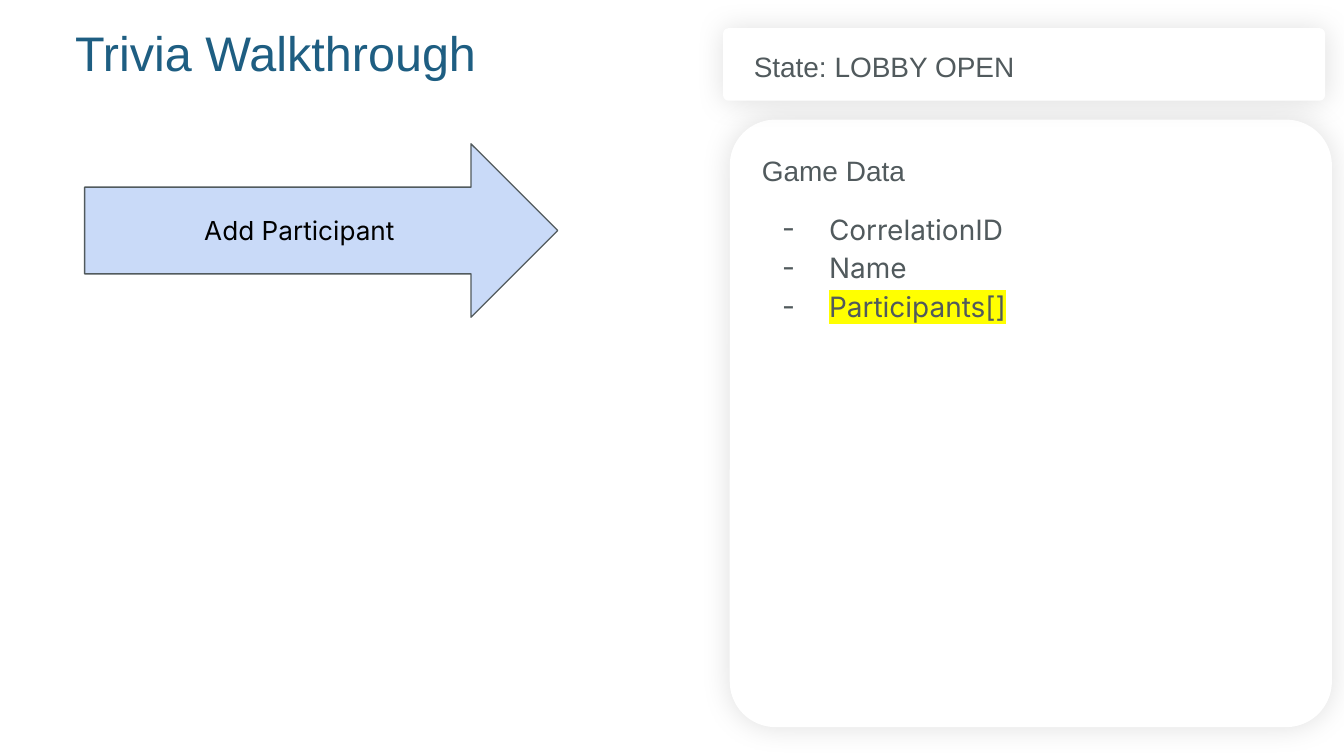
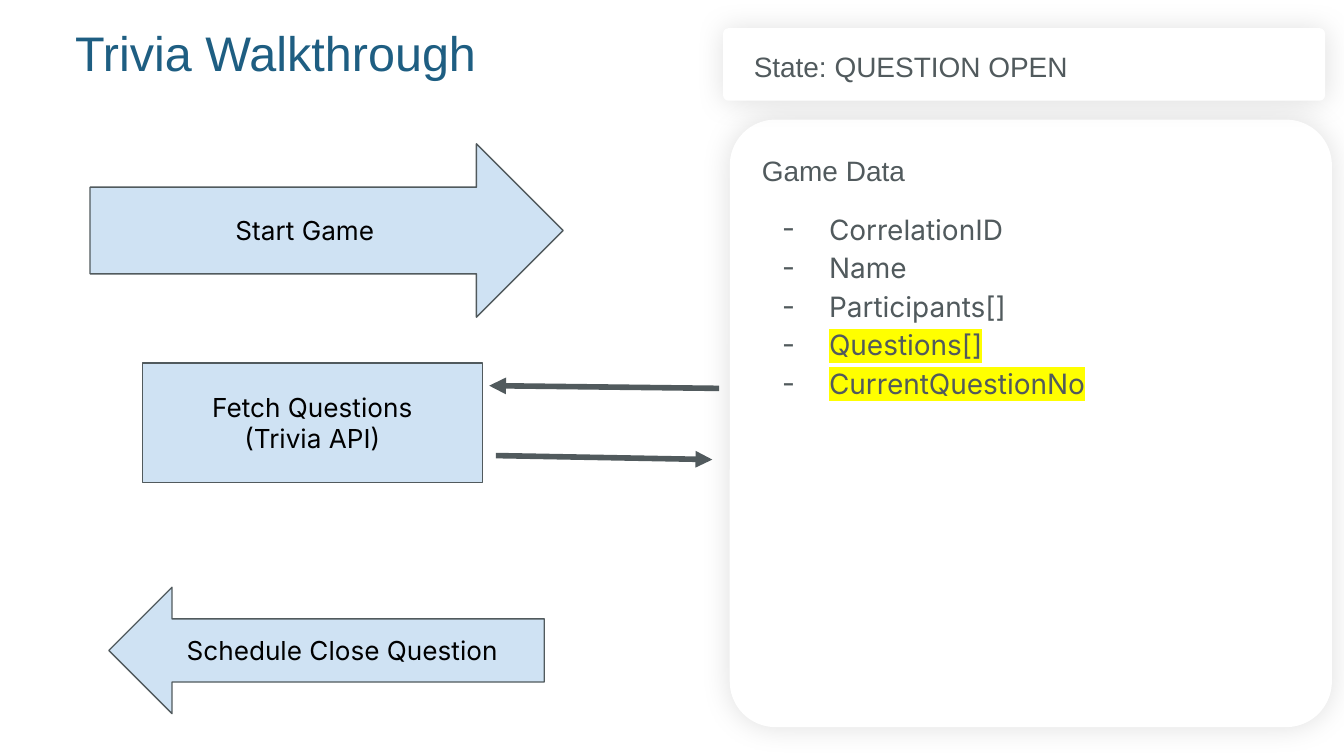
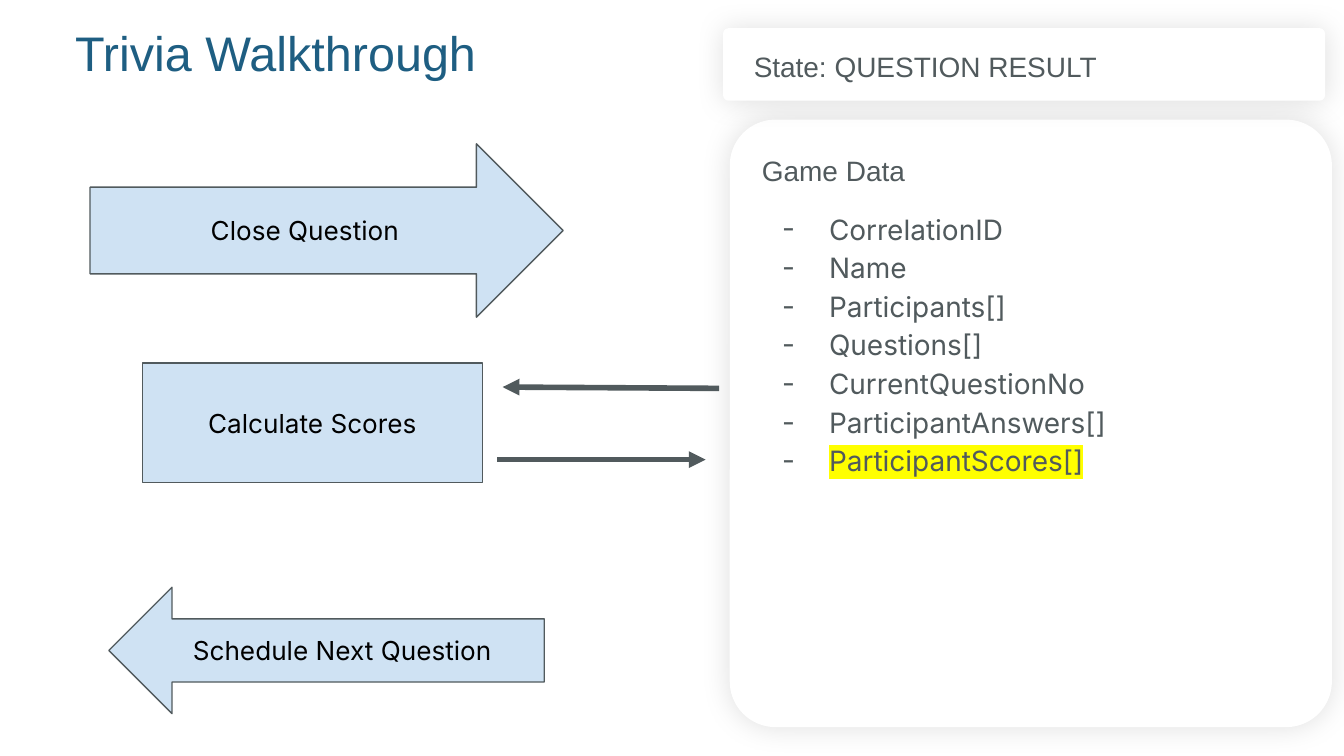
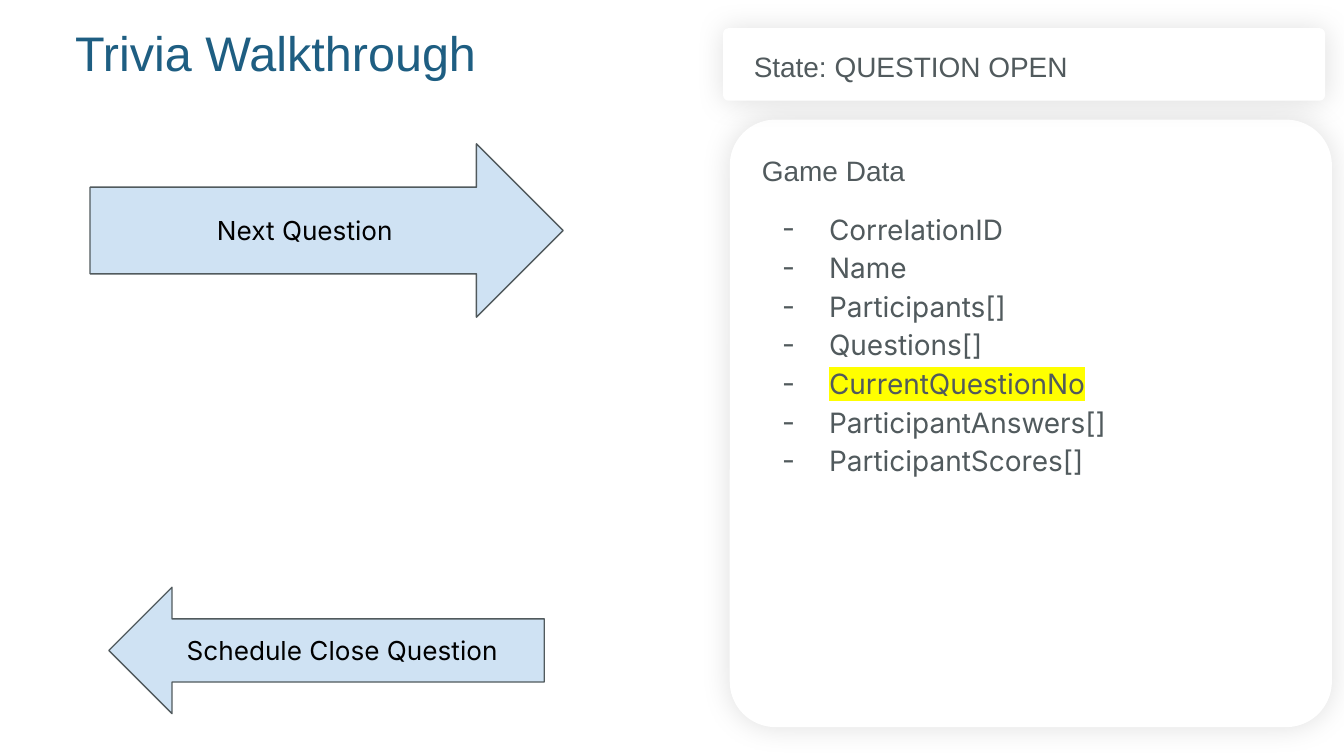
from dataclasses import dataclass

from lxml import etree
from pptx import Presentation
from pptx.dml.color import RGBColor
from pptx.enum.shapes import MSO_CONNECTOR, MSO_SHAPE
from pptx.enum.text import MSO_ANCHOR, PP_ALIGN
from pptx.oxml.ns import qn
from pptx.util import Emu, Pt

RECTANGLE, ROUNDED = MSO_SHAPE.RECTANGLE, MSO_SHAPE.ROUNDED_RECTANGLE
RIGHT_ARROW, LEFT_ARROW = MSO_SHAPE.RIGHT_ARROW, MSO_SHAPE.LEFT_ARROW
STRAIGHT = MSO_CONNECTOR.STRAIGHT
TOP, MIDDLE = MSO_ANCHOR.TOP, MSO_ANCHOR.MIDDLE
LEFT, CENTER = PP_ALIGN.LEFT, PP_ALIGN.CENTER


@dataclass(frozen=True)
class Theme:
    title: str = "1E5E82"
    ink: str = "515A5D"
    label: str = "000000"
    card: str = "FFFFFF"
    step: str = "CFE2F3"
    first_step: str = "C9DAF8"
    marker: str = "FFFF00"
    heading_font: str = "Arial"
    body_font: str = "Inter"
    title_size: int = 26
    body_size: int = 15
    label_size: int = 14
    outline: float = 0.75
    link: int = 3
    corner: float = 0.076


THEME = Theme()

TITLE = "Trivia Walkthrough"
FIELDS = ["CorrelationID", "Name", "Participants[]", "Questions[]",
          "CurrentQuestionNo", "ParticipantAnswers[]", "ParticipantScores[]"]

# "links" are the (from, to) points of the exchange between step and game data.
PAGES = [
    {"state": "LOBBY OPEN", "fields": 3, "marked": ["Participants[]"],
     "command": "Add Participant", "command_left": 63,
     "command_fill": THEME.first_step, "title_width": 902},
    {"state": "QUESTION OPEN", "fields": 5,
     "marked": ["Questions[]", "CurrentQuestionNo"],
     "command": "Start Game", "process": "Fetch Questions\n(Trivia API)",
     "links": [((535, 289), (364, 287)), ((369, 339), (530, 342))],
     "schedule": "Schedule Close Question"},
    {"state": "QUESTION RESULT", "fields": 7, "marked": ["ParticipantScores[]"],
     "command": "Close Question", "process": "Calculate Scores",
     "links": [((535, 289), (374, 288)), ((370, 342), (525, 342))],
     "schedule": "Schedule Next Question"},
    {"state": "QUESTION OPEN", "fields": 7, "marked": ["CurrentQuestionNo"],
     "command": "Next Question", "schedule": "Schedule Close Question"},
]

PX_PER_INCH = 100
PAGE_WIDTH = 1000
INSET = 10
BULLET_MARGIN, BULLET_HANG = 50, 35

STATE_CARD, STATE_TEXT = (538, 21, 448, 54), (551, 30, 411, 39)
DATA_CARD, DATA_HEADING = (543, 89, 448, 452), (557, 107, 411, 50)
DATA_LIST = (557, 144, 411, 369)
PROCESS, SCHEDULE = (106, 270, 253, 89), (81, 437, 324, 94)


def px(length):
    return Emu(length * 914400 // PX_PER_INCH)


def rgb(value):
    return RGBColor.from_string(value)


def add_xml(parent, tag, **attributes):
    return etree.SubElement(parent, qn(tag), attributes)


def write(shape, text, font, size, color, spacing=1.0, align=LEFT, anchor=TOP):
    frame = shape.text_frame
    frame.word_wrap = True
    frame.vertical_anchor = anchor
    frame.margin_left = frame.margin_right = px(INSET)
    frame.margin_top = frame.margin_bottom = px(INSET)
    frame.text = text
    for para in frame.paragraphs:
        para.line_spacing = spacing
        para.alignment = align
        for span in para.runs:
            span.font.name = font
            span.font.size = Pt(size)
            span.font.color.rgb = rgb(color)
    return frame


def add_text(page, area, text, font, size, color, spacing=0.9):
    box = page.shapes.add_textbox(*map(px, area))
    return write(box, text, font, size, color, spacing)


def add_card(page, area):
    """Add a white rounded panel with a soft glow-like shadow."""
    card = page.shapes.add_shape(ROUNDED, *map(px, area))
    card.adjustments[0] = THEME.corner
    card.fill.solid()
    card.fill.fore_color.rgb = rgb(THEME.card)
    card.line.fill.background()
    card.shadow.inherit = False
    effects = card._element.spPr.find(qn("a:effectLst"))
    shadow = add_xml(effects, "a:outerShdw", blurRad=str(Pt(15.8)), dist="0",
                     dir="0", algn="ctr", rotWithShape="0")
    color = add_xml(shadow, "a:srgbClr", val="000000")
    add_xml(color, "a:alpha", val="12000")


def add_step(page, kind, area, text, fill=THEME.step):
    step = page.shapes.add_shape(kind, *map(px, area))
    step.shadow.inherit = False
    step.fill.solid()
    step.fill.fore_color.rgb = rgb(fill)
    step.line.color.rgb = rgb(THEME.ink)
    step.line.width = Pt(THEME.outline)
    write(step, text, THEME.body_font, THEME.label_size, THEME.label,
          align=CENTER, anchor=MIDDLE)


def add_link(page, start, end):
    link = page.shapes.add_connector(STRAIGHT, *map(px, start + end))
    link.line.color.rgb = rgb(THEME.ink)
    link.line.width = Pt(THEME.link)
    add_xml(link.line._get_or_add_ln(), "a:tailEnd", type="triangle")
    add_xml(link._element.spPr, "a:effectLst")


def add_dash(para):
    properties = para._p.get_or_add_pPr()
    properties.set("marL", str(px(BULLET_MARGIN)))
    properties.set("indent", str(-px(BULLET_HANG)))
    color = add_xml(properties, "a:buClr")
    add_xml(color, "a:srgbClr", val=THEME.ink)
    add_xml(properties, "a:buSzPts", val=str(THEME.body_size * 100))
    add_xml(properties, "a:buFont", typeface=THEME.body_font)
    add_xml(properties, "a:buChar", char="-")


def highlight(span):
    fill = span._r.get_or_add_rPr().find(qn("a:solidFill"))
    marker = etree.Element(qn("a:highlight"))
    add_xml(marker, "a:srgbClr", val=THEME.marker)
    fill.addnext(marker)


def add_field_list(page, fields, marked):
    frame = add_text(page, DATA_LIST, "\n".join(fields), THEME.body_font,
                     THEME.body_size, THEME.ink, 1.15)
    for para in frame.paragraphs:
        add_dash(para)
        if para.text in marked:
            highlight(para.runs[0])


def add_page(deck, content):
    page = deck.slides.add_slide(deck.slide_layouts[6])
    heading = (THEME.heading_font, THEME.body_size, THEME.ink)

    add_text(page, (46, 12, content.get("title_width", 461), 54), TITLE,
             THEME.heading_font, THEME.title_size, THEME.title)
    add_card(page, DATA_CARD)
    add_field_list(page, FIELDS[:content["fields"]], content["marked"])
    add_text(page, DATA_HEADING, "Game Data", *heading)
    add_card(page, STATE_CARD)
    add_text(page, STATE_TEXT, f"State: {content['state']}", *heading)

    command_area = (content.get("command_left", 67), 107, 352, 129)
    add_step(page, RIGHT_ARROW, command_area, content["command"],
             content.get("command_fill", THEME.step))
    if "process" in content:
        add_step(page, RECTANGLE, PROCESS, content["process"])
    for start, end in content.get("links", []):
        add_link(page, start, end)
    if "schedule" in content:
        add_step(page, LEFT_ARROW, SCHEDULE, content["schedule"])


def main():
    deck = Presentation()
    deck.slide_width = px(PAGE_WIDTH)
    deck.slide_height = Emu(deck.slide_width * 9 // 16)
    for content in PAGES:
        add_page(deck, content)
    deck.save("out.pptx")


if __name__ == "__main__":
    main()
